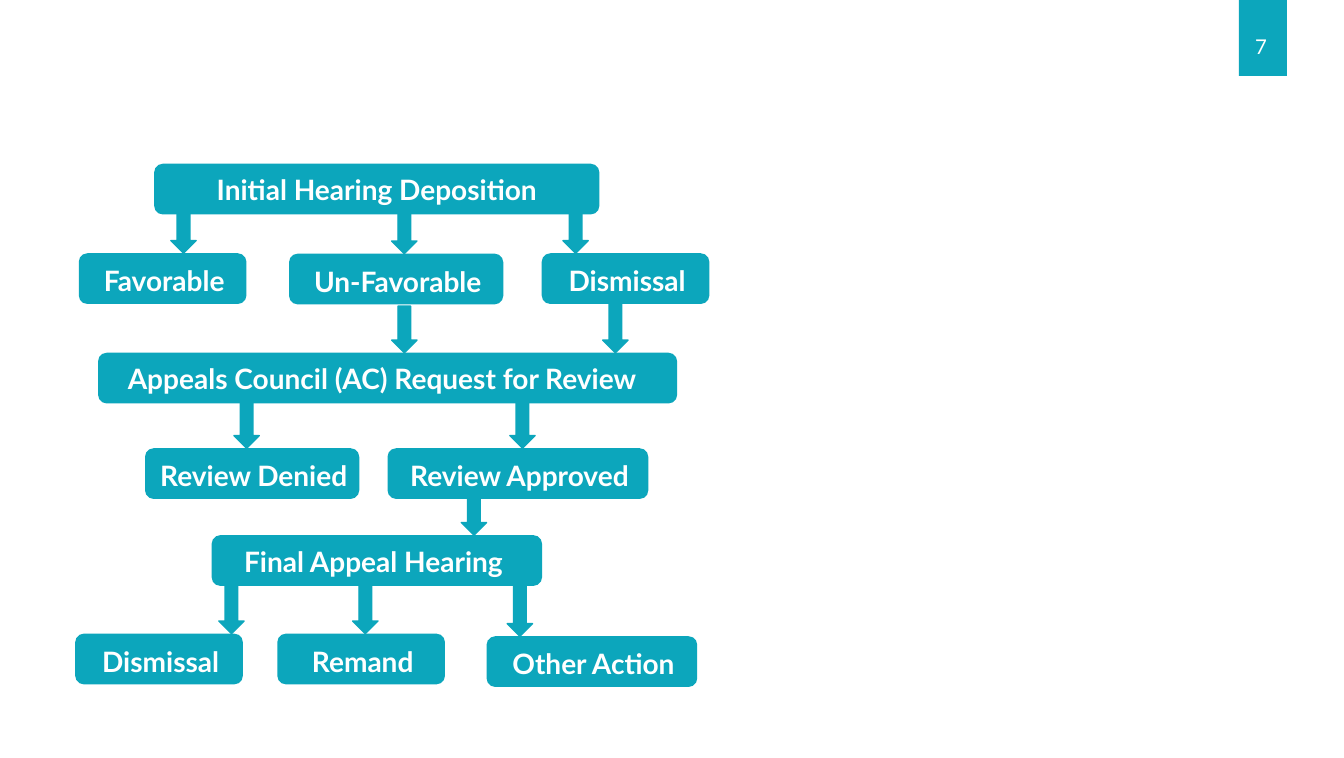
"""Build the hearing and appeals flowchart slide."""
from dataclasses import dataclass

from pptx import Presentation
from pptx.dml.color import RGBColor
from pptx.enum.shapes import MSO_SHAPE as Shape
from pptx.enum.text import MSO_ANCHOR as Anchor, PP_ALIGN as Align
from pptx.util import Cm, Pt


@dataclass(frozen=True)
class Theme:
    teal: RGBColor = RGBColor(0x0C, 0xA6, 0xBC)
    white: RGBColor = RGBColor(0xFF, 0xFF, 0xFF)
    font: str = "Lato"
    label_size: int = 40
    number_size: int = 29
    arrow_line: int = 2


THEME = Theme()
SLIDE_SIZE = (67.56, 38.1)
STEP_HEIGHT = 2.55
CORNER = 0.17
ARROW_WIDTH = 1.27
SHORT, LONG = 2.34, 2.67

NUMBER_TAB = (62.28, 0, 2.41, 3.81)
NUMBER_BOX = (62.48, 1.47, 1.83, 1.75)
PAGE_NUMBER = "7"

STAGE_SHIFTS = {
    "Initial Hearing Deposition": (0, 0.03),
    "Appeals Council (AC) Request for Review": (-0.28, 0),
    "Final Appeal Hearing": (-0.17, 0.03),
}
OUTCOME_SHIFT = (0.08, 0.1)

# Each step: label, left, top, width, arrows that end on it (left, length)
STEPS = [
    ("Initial Hearing Deposition", 7.75, 8.23, 22.38, []),
    ("Favorable", 3.96, 12.73, 8.43, [(8.59, SHORT)]),
    ("Un-Favorable", 14.53, 12.75, 10.77, [(19.69, SHORT)]),
    ("Dismissal", 27.23, 12.73, 8.43, [(28.3, SHORT)]),
    ("Appeals Council (AC) Request for Review", 4.93, 17.73, 29.11,
     [(19.69, SHORT), (30.3, LONG)]),
    ("Review Denied", 7.29, 22.53, 10.77, [(11.76, LONG)]),
    ("Review Approved", 19.48, 22.53, 13.11, [(25.63, LONG)]),
    ("Final Appeal Hearing", 10.64, 26.9, 16.61, [(23.19, SHORT)]),
    ("Dismissal", 3.78, 31.85, 8.43, [(11, LONG)]),
    ("Remand", 13.94, 31.85, 8.43, [(17.73, LONG)]),
    ("Other Action", 24.46, 31.98, 10.59, [(25.5, LONG)]),
]


def add_teal_shape(slide, kind, left, top, width, height):
    shape = slide.shapes.add_shape(kind, Cm(left), Cm(top), Cm(width), Cm(height))
    shape.shadow.inherit = False
    shape.fill.solid()
    shape.fill.fore_color.rgb = THEME.teal
    shape.line.fill.background()
    return shape


def write_text(shape, text, size, bold=False, wrap=True, shift=(0, 0)):
    frame = shape.text_frame
    frame.text = text
    frame.word_wrap = wrap
    frame.vertical_anchor = Anchor.MIDDLE
    across, down = shift
    frame.margin_left = Cm(max(2 * across, 0))
    frame.margin_right = Cm(max(-2 * across, 0))
    frame.margin_top = Cm(2 * down)
    frame.margin_bottom = 0
    paragraph = frame.paragraphs[0]
    paragraph.alignment = Align.CENTER
    font = paragraph.runs[0].font
    font.name = THEME.font
    font.size = Pt(size)
    font.bold = bold
    font.color.rgb = THEME.white


def add_step(slide, label, left, top, width):
    shape = add_teal_shape(slide, Shape.ROUNDED_RECTANGLE, left, top, width, STEP_HEIGHT)
    shape.adjustments[0] = CORNER
    shift = STAGE_SHIFTS.get(label, OUTCOME_SHIFT)
    write_text(shape, label, THEME.label_size, bold=True, shift=shift)


def add_arrow(slide, left, tip, length):
    arrow = add_teal_shape(slide, Shape.DOWN_ARROW, left, tip - length, ARROW_WIDTH, length)
    arrow.line.color.rgb = THEME.teal
    arrow.line.width = Pt(THEME.arrow_line)


def main():
    presentation = Presentation()
    presentation.slide_width, presentation.slide_height = map(Cm, SLIDE_SIZE)
    slide = presentation.slides.add_slide(presentation.slide_layouts[6])

    add_teal_shape(slide, Shape.RECTANGLE, *NUMBER_TAB)
    number = slide.shapes.add_textbox(*map(Cm, NUMBER_BOX))
    write_text(number, PAGE_NUMBER, THEME.number_size, wrap=False)

    for label, left, top, width, _ in STEPS:
        add_step(slide, label, left, top, width)
    for _, _, top, _, arrows in STEPS:
        for left, length in arrows:
            add_arrow(slide, left, top, length)

    presentation.save("out.pptx")


if __name__ == "__main__":
    main()
